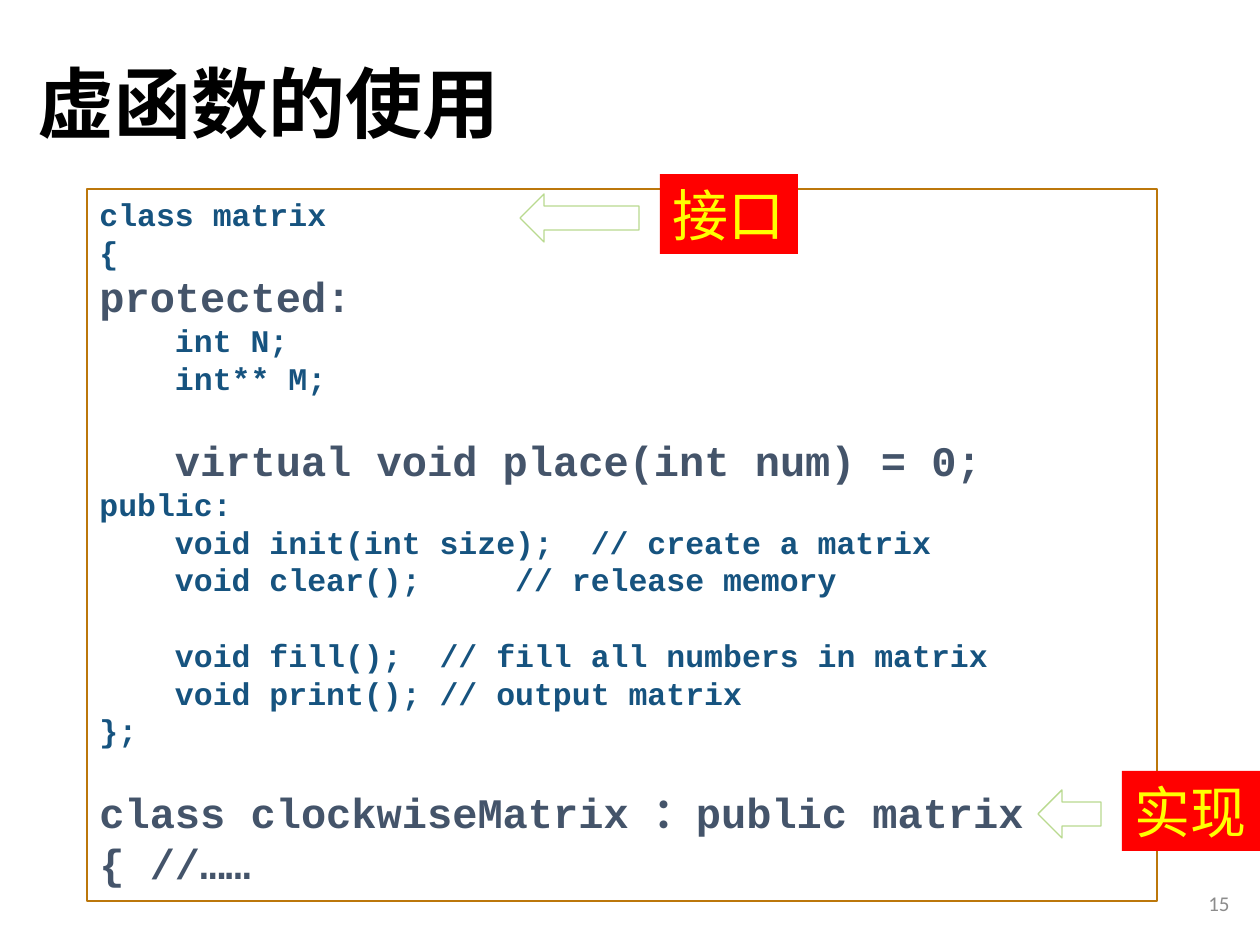
"""Build the slide on using virtual functions."""
from lxml import etree
from pptx import Presentation, util as u
from pptx.dml import color
from pptx.enum import shapes, text
from pptx.oxml import ns

SCALE = u.Inches(1) / 126
HEADING, MONO, SANS = "Noto Sans CJK SC", "Courier New", "Calibri"
NAVY, SLATE = "16537F", "44546A"

CODE = """class matrix
{
protected:
    int N;
    int** M;

   virtual void place(int num) = 0;
public:
    void init(int size);  // create a matrix
    void clear(); \t  // release memory

    void fill();  // fill all numbers in matrix
    void print(); // output matrix
};

class clockwiseMatrix ：public matrix
{ //……"""
STRESSED = ("protected", "virtual", "class clockwise", "{ //")


def rgb(value):
    return color.RGBColor.from_string(value)


def px(*lengths):
    return [u.Emu(round(length * SCALE)) for length in lengths]


def write(para, content, font=MONO, size=18, ink=NAVY, bold=False,
          align=text.PP_ALIGN.LEFT, before=0, spacing=1.0):
    para.alignment = align
    para.space_before = u.Pt(before)
    para.line_spacing = spacing
    span = para.add_run()
    span.text = content
    span.font.name = font
    span.font.size = u.Pt(size)
    span.font.bold = bold
    span.font.color.rgb = rgb(ink)
    latin = span.font._element.find(ns.qn("a:latin"))
    east = etree.Element(ns.qn("a:ea"), typeface=font)
    latin.addnext(east)


class Slide:
    def __init__(self, deck):
        self.page = deck.slides.add_slide(deck.slide_layouts[6])
        self.gap = 21.5

    def box(self, *frame, fill=None, line=None, wrap=True,
            anchor=text.MSO_ANCHOR.TOP):
        box = self.page.shapes.add_textbox(*px(*frame))
        box.text_frame.word_wrap = wrap
        box.text_frame.vertical_anchor = anchor
        if fill:
            box.fill.solid()
            box.fill.fore_color.rgb = rgb(fill)
        if line:
            box.line.color.rgb = rgb(line)
            box.line.width = u.Pt(0.75)
        return box.text_frame

    def line(self, content, *frame, **style):
        frame_text = self.box(*frame, anchor=text.MSO_ANCHOR.MIDDLE)
        write(frame_text.paragraphs[0], content, **style)

    def code(self, source, *frame):
        frame_text = self.box(*frame, line="BC770B")
        para, before = frame_text.paragraphs[0], 0
        for number, row in enumerate(source.splitlines()):
            if not row:
                before = self.gap
                continue
            if number:
                para = frame_text.add_paragraph()
            stressed = row.strip().startswith(STRESSED)
            write(para, row, size=24 if stressed else 18,
                  ink=SLATE if stressed else NAVY, bold=True, before=before)
            before = 0

    def label(self, content, left, top):
        frame_text = self.box(left, top, 138, 80, fill="FF0000", wrap=False)
        write(frame_text.paragraphs[0], content, size=32, ink="FFFF00")

    def arrow(self, left, top, width):
        arrow = self.page.shapes.add_shape(
            shapes.MSO_SHAPE.LEFT_ARROW, *px(left, top, width, 48))
        arrow.shadow.inherit = False
        arrow.fill.background()
        arrow.line.color.rgb = rgb("B9DA8F")
        arrow.line.width = u.Pt(0.75)


def main():
    deck = Presentation()
    deck.slide_width, deck.slide_height = u.Inches(10), u.Inches(7.5)
    slide = Slide(deck)
    slide.line("虚函数的使用", 25, 16, 1086, 183, font=HEADING, size=44,
               ink="000000", bold=True, spacing=0.9)
    slide.line("15", 958, 878, 284, 50, font=SANS, size=12, ink="8C8C8C",
               align=text.PP_ALIGN.RIGHT)
    slide.code(CODE, 87, 189, 1070, 712)
    slide.label("接口", 660, 174)
    slide.arrow(520, 194, 119)
    slide.label("实现", 1122, 771)
    slide.arrow(1038, 790, 63)
    deck.save("out.pptx")


if __name__ == "__main__":
    main()
